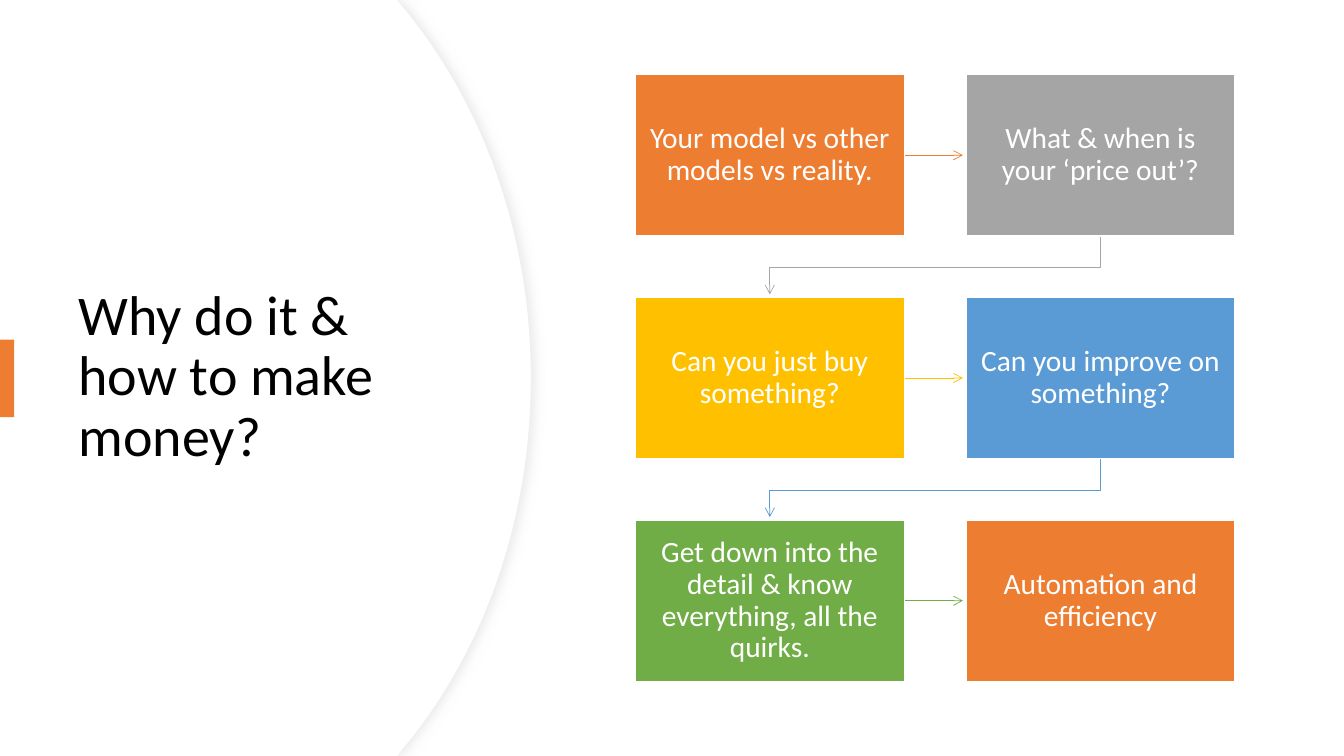
from lxml import etree
from pptx import Presentation
from pptx.dml.color import RGBColor
from pptx.enum.shapes import MSO_SHAPE
from pptx.enum.text import MSO_ANCHOR, MSO_AUTO_SIZE, PP_ALIGN
from pptx.oxml import parse_xml
from pptx.oxml.ns import nsdecls, qn
from pptx.util import Inches, Pt

RECT = MSO_SHAPE.RECTANGLE
MIDDLE = MSO_ANCHOR.MIDDLE
NO_AUTOFIT = MSO_AUTO_SIZE.NONE
LEFT, CENTER = PP_ALIGN.LEFT, PP_ALIGN.CENTER

WHITE = RGBColor(0xFF, 0xFF, 0xFF)
BLACK = RGBColor(0, 0, 0)
ORANGE = RGBColor(0xED, 0x7D, 0x31)
GRAY = RGBColor(0xA5, 0xA5, 0xA5)
GOLD = RGBColor(0xFF, 0xC0, 0x00)
BLUE = RGBColor(0x5B, 0x9B, 0xD5)
GREEN = RGBColor(0x70, 0xAD, 0x47)
PANEL_EDGE = RGBColor(0xEF, 0xEF, 0xEF)
FONT = "Calibri"

# Flow grid, in inches
GRID_X, GRID_Y = 6.3, 0.74
BOX_W, BOX_H = 2.67, 1.6
STEP_X, STEP_Y = 3.28, 2.21
COLUMNS = 2
STEPS = [
    ("Your model vs other models vs reality.", ORANGE),
    ("What & when is your ‘price out’?", GRAY),
    ("Can you just buy something?", GOLD),
    ("Can you improve on something?", BLUE),
    ("Get down into the detail & know everything, all the quirks.", GREEN),
    ("Automation and efficiency", ORANGE),
]


def add_outline(s, points, close):
    points = [(Inches(x), Inches(y)) for x, y in points]
    builder = s.shapes.build_freeform(*points[0])
    builder.add_line_segments(points[1:], close=close)
    sp = builder.convert_to_shape()
    sp.shadow.inherit = False
    return sp


def bend(sp, first):
    """Turn three straight segments, from number first, into one curve."""
    lines = list(sp.element.iter(qn("a:lnTo")))[first:first + 3]
    curve = etree.Element(qn("a:cubicBezTo"))
    lines[0].addprevious(curve)
    for line in lines:
        curve.append(line[0])
        line.getparent().remove(line)


def add_panel(s, right):
    """White panel with a bulging right side."""
    shoulder, control = right - 1.26, right - 0.48
    sp = add_outline(s, [
        (0, 0), (3.94, 0), (shoulder, 0.08),
        (control, 1.02), (right, 2.32), (right, 3.75),
        (right, 5.18), (control, 6.48), (shoulder, 7.42),
        (3.94, 7.5), (0, 7.5)], close=True)
    bend(sp, 2)
    bend(sp, 2)
    sp.fill.solid()
    sp.fill.fore_color.rgb = WHITE
    sp.line.fill.background()
    return sp


def add_soft_edge(sp):
    sp.line.color.rgb = PANEL_EDGE
    sp.line.width = Pt(0.75)
    effects = sp.element.spPr.find(qn("a:effectLst"))
    effects.append(parse_xml(
        f'<a:outerShdw {nsdecls("a")} blurRad="{Pt(7)}" dist="{Pt(3)}" dir="0">'
        '<a:srgbClr val="D9D9D9"><a:alpha val="50000"/></a:srgbClr>'
        '</a:outerShdw>'))


def add_rect(s, x, y, w, h, color):
    sp = s.shapes.add_shape(RECT, Inches(x), Inches(y), Inches(w), Inches(h))
    sp.shadow.inherit = False
    sp.fill.solid()
    sp.fill.fore_color.rgb = color
    sp.line.fill.background()
    return sp


def set_text(sp, text, size, color, align):
    tf = sp.text_frame
    tf.text = text
    tf.word_wrap = True
    tf.auto_size = NO_AUTOFIT
    tf.vertical_anchor = MIDDLE
    p = tf.paragraphs[0]
    p.alignment = align
    p.line_spacing = 0.9
    font = p.runs[0].font
    font.name, font.size, font.color.rgb = FONT, Pt(size), color


def add_title(s, text):
    title = s.shapes.title
    title.left, title.top = Inches(0.68), Inches(1.27)
    title.width, title.height = Inches(3.94), Inches(4.95)
    set_text(title, text, 40, BLACK, LEFT)
    # Bring the title in front of the panels
    title.element.getparent().append(title.element)


def add_step(s, x, y, text, color):
    sp = add_rect(s, x, y, BOX_W, BOX_H, color)
    sp.line.color.rgb = WHITE
    sp.line.width = Pt(1)
    set_text(sp, text, 21, WHITE, CENTER)
    tf = sp.text_frame
    tf.margin_left = tf.margin_right = Inches(0.13)
    tf.margin_top = tf.margin_bottom = Inches(0.14)


def add_arrow(s, points, color):
    sp = add_outline(s, points, close=False)
    sp.fill.background()
    sp.line.color.rgb = color
    sp.line.width = Pt(0.5)
    ln = sp.element.spPr.find(qn("a:ln"))
    etree.SubElement(ln, qn("a:tailEnd"), type="arrow")


def add_arrow_right(s, x, y, color):
    """Arrow from the box at x, y to the next one in its row."""
    start, mid = x + BOX_W, y + BOX_H / 2
    add_arrow(s, [(start, mid), (start + 0.58, mid)], color)


def add_arrow_down(s, x, y, color):
    """Bent arrow from the box at x, y to the start of the next row."""
    start, end, top = x + BOX_W / 2, GRID_X + BOX_W / 2, y + BOX_H
    add_arrow(s, [(start, top), (start, top + 0.31),
                  (end, top + 0.31), (end, top + 0.58)], color)


def add_flow(s):
    for i, (text, color) in enumerate(STEPS):
        row, col = divmod(i, COLUMNS)
        x, y = GRID_X + col * STEP_X, GRID_Y + row * STEP_Y
        if col < COLUMNS - 1:
            add_arrow_right(s, x, y, color)
        elif i < len(STEPS) - 1:
            add_arrow_down(s, x, y, color)
        add_step(s, x, y, text, color)


def main():
    prs = Presentation()
    prs.slide_width, prs.slide_height = Inches(13.33), Inches(7.5)
    s = prs.slides.add_slide(prs.slide_layouts[5])

    # Left side: curved panel, title and accent bar
    add_soft_edge(add_panel(s, 5.27))
    add_panel(s, 5.26)
    add_title(s, "Why do it & how to make money?")
    add_rect(s, 0, 3.37, 0.14, 0.77, ORANGE)

    # Right side: flow of steps
    add_flow(s)
    prs.save("out.pptx")


if __name__ == "__main__":
    main()
